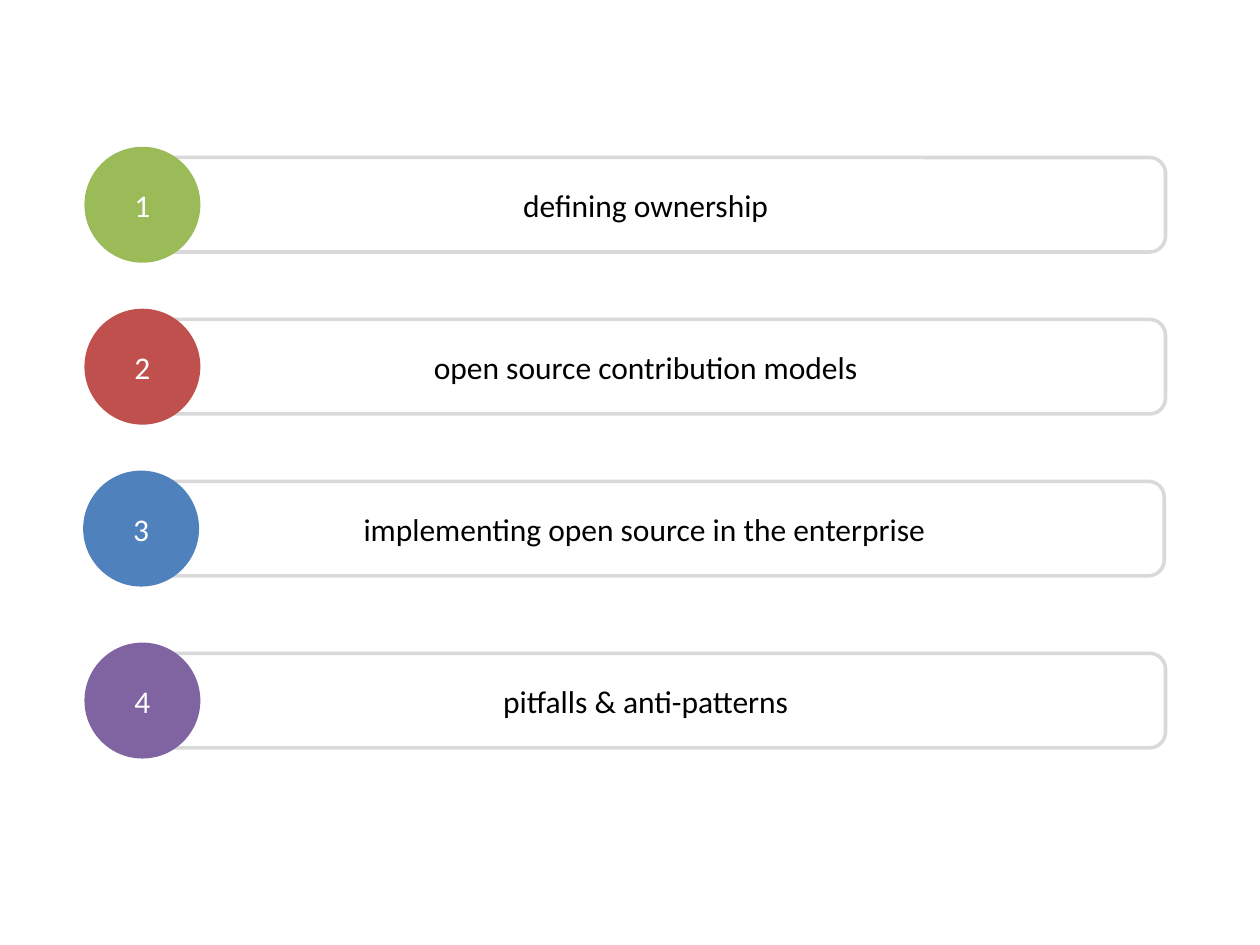
"""Build an agenda slide of four numbered topics."""
import pptx
import pptx.dml.color
import pptx.enum.shapes
import pptx.enum.text
import pptx.util

COLORS = {
    "bar": "D9D9D9", "topic": "000000", "number": "FFFFFF",
    "green": "9BBB59", "red": "C0504D", "blue": "4F81BD", "purple": "8064A2",
}
TOPICS = [
    ("defining ownership", "green", 0, 0),
    ("open source contribution models", "red", 0, 0),
    ("implementing open source in the enterprise", "blue", -0.01, 0),
    ("pitfalls & anti-patterns", "purple", 0, 0.08),
]
FIRST_ROW, ROW_PITCH = 1.25, 1.285
BAR_LEFT, BAR_WIDTH, BAR_HEIGHT = 1, 8.25, 0.75
DISC_LEFT, DISC_SIZE = 0.67, 0.92


def color(name):
    return pptx.dml.color.RGBColor.from_string(COLORS[name])


def add_label(group, kind, bounds, text, text_color):
    shape = group.shapes.add_shape(kind, *[pptx.util.Inches(length) for length in bounds])
    shape.shadow.inherit = False
    frame = shape.text_frame
    frame.text = text
    frame.word_wrap = True
    frame.vertical_anchor = pptx.enum.text.MSO_ANCHOR.MIDDLE
    para = frame.paragraphs[0]
    para.alignment = pptx.enum.text.PP_ALIGN.CENTER
    font = para.runs[0].font
    font.name = "Calibri"
    font.size = pptx.util.Pt(18)
    font.color.rgb = color(text_color)
    return shape


deck = pptx.Presentation()
deck.slide_width = pptx.util.Inches(10)
deck.slide_height = pptx.util.Inches(7.5)
page = deck.slides.add_slide(deck.slide_layouts[6])

for row, (topic, accent, shift_right, shift_down) in enumerate(TOPICS):
    top = FIRST_ROW + row * ROW_PITCH + shift_down
    group = page.shapes.add_group_shape()
    bar = add_label(
        group, pptx.enum.shapes.MSO_SHAPE.ROUNDED_RECTANGLE,
        (BAR_LEFT + shift_right, top, BAR_WIDTH, BAR_HEIGHT), topic, "topic",
    )
    bar.fill.background()
    bar.line.color.rgb = color("bar")
    bar.line.width = pptx.util.Pt(2)
    disc_top = top + (BAR_HEIGHT - DISC_SIZE) / 2
    disc = add_label(
        group, pptx.enum.shapes.MSO_SHAPE.OVAL,
        (DISC_LEFT + shift_right, disc_top, DISC_SIZE, DISC_SIZE), str(row + 1), "number",
    )
    disc.fill.solid()
    disc.fill.fore_color.rgb = color(accent)
    disc.line.fill.background()

deck.save("out.pptx")
